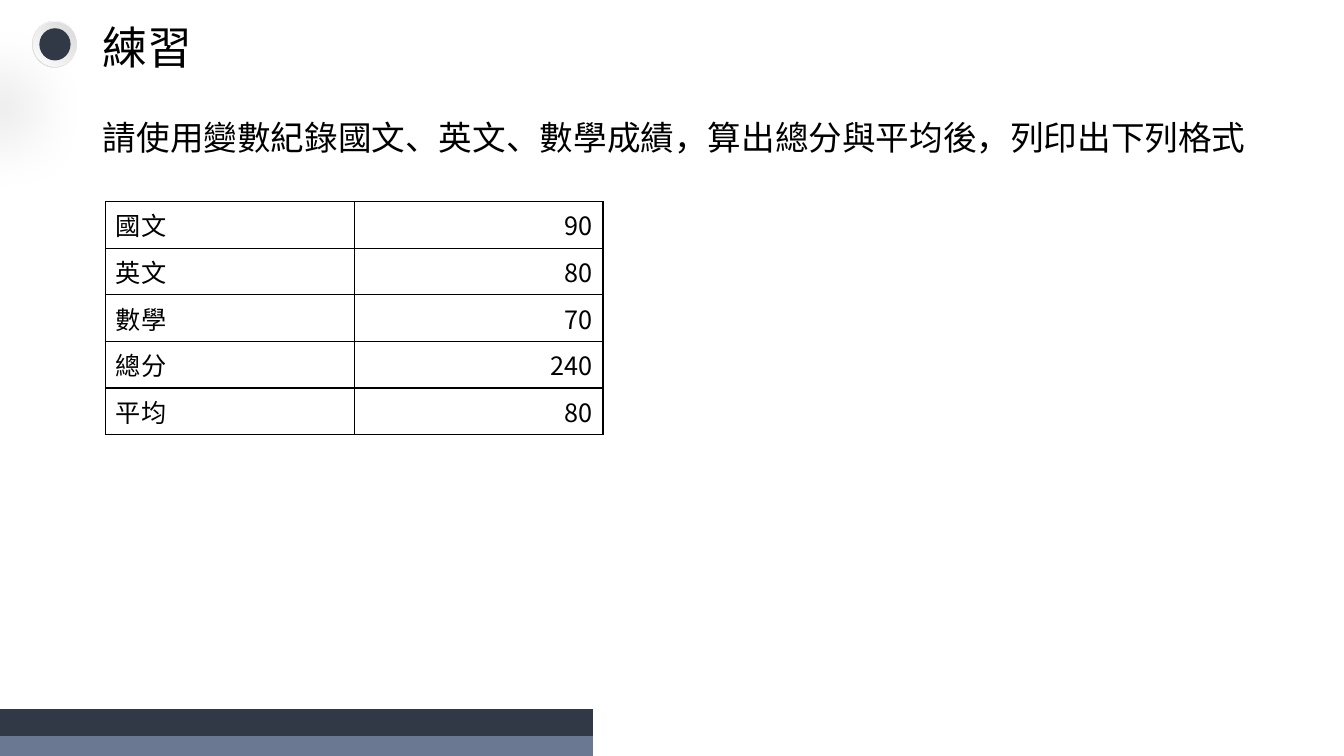
from dataclasses import dataclass

from lxml import etree
from pptx import Presentation
from pptx.dml.color import RGBColor
from pptx.enum import shapes as sh, text as tx
from pptx.oxml import ns
from pptx.util import Inches, Pt


@dataclass(frozen=True)
class Theme:
    font: str = "Noto Sans CJK SC"
    ink: str = "000000"
    white: str = "FFFFFF"
    pale: str = "FEFEFE"
    grey: str = "D9D9D9"
    navy: str = "313846"
    slate: str = "6A7991"
    head: int = 32
    body: int = 24
    cell: int = 18


THEME = Theme()
SCORES = [("國文", 90), ("英文", 80), ("數學", 70), ("總分", 240), ("平均", 80)]


def node(owner, tag, **attrs):
    return etree.SubElement(owner, ns.qn(tag), attrs)


def write(para, words, size):
    run = para.add_run()
    run.text = words
    font = run.font
    font.size = Pt(size)
    font.color.rgb = RGBColor.from_string(THEME.ink)
    font.name = THEME.font
    node(run.font._element, "a:ea", typeface=THEME.font)


def place(shape, box):
    shape.left, shape.top, shape.width, shape.height = map(Inches, box)


def draw(owner, kind, box):
    shape = owner.add_shape(kind, *map(Inches, box))
    shape.shadow.inherit = False
    shape.line.fill.background()
    return shape


def blend(shape, stops):
    shape.fill.gradient()
    for stop, (spot, color) in zip(shape.fill.gradient_stops, stops):
        stop.position = spot
        stop.color.rgb = RGBColor.from_string(color)


def radial(shape, inner, outer):
    blend(shape, [(0, inner), (1, outer)])
    grad = shape.element.spPr.find(ns.qn("a:gradFill"))
    grad.remove(grad.find(ns.qn("a:lin")))
    ring = node(grad, "a:path", path="circle")
    node(ring, "a:fillToRect", l="100000", b="100000")


def cast(shape):
    effect = shape.element.spPr.find(ns.qn("a:effectLst"))
    shade = node(effect, "a:outerShdw", blurRad=str(Pt(50)), dist=str(Pt(60)),
                 dir=str(130 * 60000), algn="ctr", rotWithShape="0")
    color = node(shade, "a:srgbClr", val=THEME.ink)
    node(color, "a:alpha", val="25000")


# Round button beside the title
def button(slide, box):
    x, y, w, h = box
    group = slide.shapes.add_group_shape().shapes
    oval = sh.MSO_SHAPE.OVAL
    rim = draw(group, oval, box)
    radial(rim, THEME.white, THEME.grey)
    cast(rim)
    face = draw(group, oval, (x + 0.01, y + 0.01, w - 0.01, h - 0.02))
    radial(face, THEME.grey, THEME.pale)
    dot = draw(group, oval, (x + 0.07, y + 0.07, w - 0.13, h - 0.14))
    dot.fill.solid()
    dot.fill.fore_color.rgb = RGBColor.from_string(THEME.navy)


# Two-tone band at the foot
def band(slide, box):
    bar = draw(slide.shapes, sh.MSO_SHAPE.RECTANGLE, box)
    blend(bar, [(0.58, THEME.navy), (0.58, THEME.slate)])
    bar.fill.gradient_angle = 270


# Title
def title(slide, box, words):
    holder = slide.shapes.title
    place(holder, box)
    frame = holder.text_frame
    frame.vertical_anchor = tx.MSO_ANCHOR.MIDDLE
    frame.auto_size = tx.MSO_AUTO_SIZE.NONE
    para = frame.paragraphs[0]
    para.alignment = tx.PP_ALIGN.LEFT
    para.line_spacing = 0.9
    write(para, words, THEME.head)


# Task text
def task(slide, box, words):
    holder = slide.placeholders[1]
    place(holder, box)
    frame = holder.text_frame
    frame.word_wrap = True
    frame.auto_size = tx.MSO_AUTO_SIZE.NONE
    para = frame.paragraphs[0]
    props = para._p.get_or_add_pPr()
    props.set("marL", "0")
    props.set("indent", "0")
    node(props, "a:buNone")
    para.space_before = Pt(0)
    write(para, words, THEME.body)


def border(cell):
    props = cell._tc.get_or_add_tcPr()
    for spot, side in enumerate(("a:lnL", "a:lnR", "a:lnT", "a:lnB")):
        line = etree.Element(ns.qn(side), w=str(Pt(1)))
        node(node(line, "a:solidFill"), "a:srgbClr", val=THEME.ink)
        props.insert(spot, line)


# Score table
def scores(slide, box, rows):
    table = slide.shapes.add_table(len(rows), 2, *map(Inches, box)).table
    table.first_row = table.horz_banding = False
    sides = (tx.PP_ALIGN.LEFT, tx.PP_ALIGN.RIGHT)
    for r, row in enumerate(rows):
        for c, value in enumerate(row):
            cell = table.cell(r, c)
            cell.fill.background()
            border(cell)
            para = cell.text_frame.paragraphs[0]
            para.alignment = sides[c]
            write(para, str(value), THEME.cell)


def main():
    deck = Presentation()
    deck.slide_width, deck.slide_height = Inches(13.33), Inches(7.5)
    slide = deck.slides.add_slide(deck.slide_layouts[1])
    button(slide, (0.32, 0.21, 0.44, 0.46))
    band(slide, (0, 7.03, 5.88, 0.47))
    title(slide, (0.92, 0.19, 11.7, 0.62), "練習")
    scores(slide, (1.05, 2, 4.93, 2.03), SCORES)
    task(slide, (0.92, 1.11, 11.65, 4.95),
         "請使用變數紀錄國文、英文、數學成績，算出總分與平均後，列印出下列格式")
    deck.save("out.pptx")


if __name__ == "__main__":
    main()
